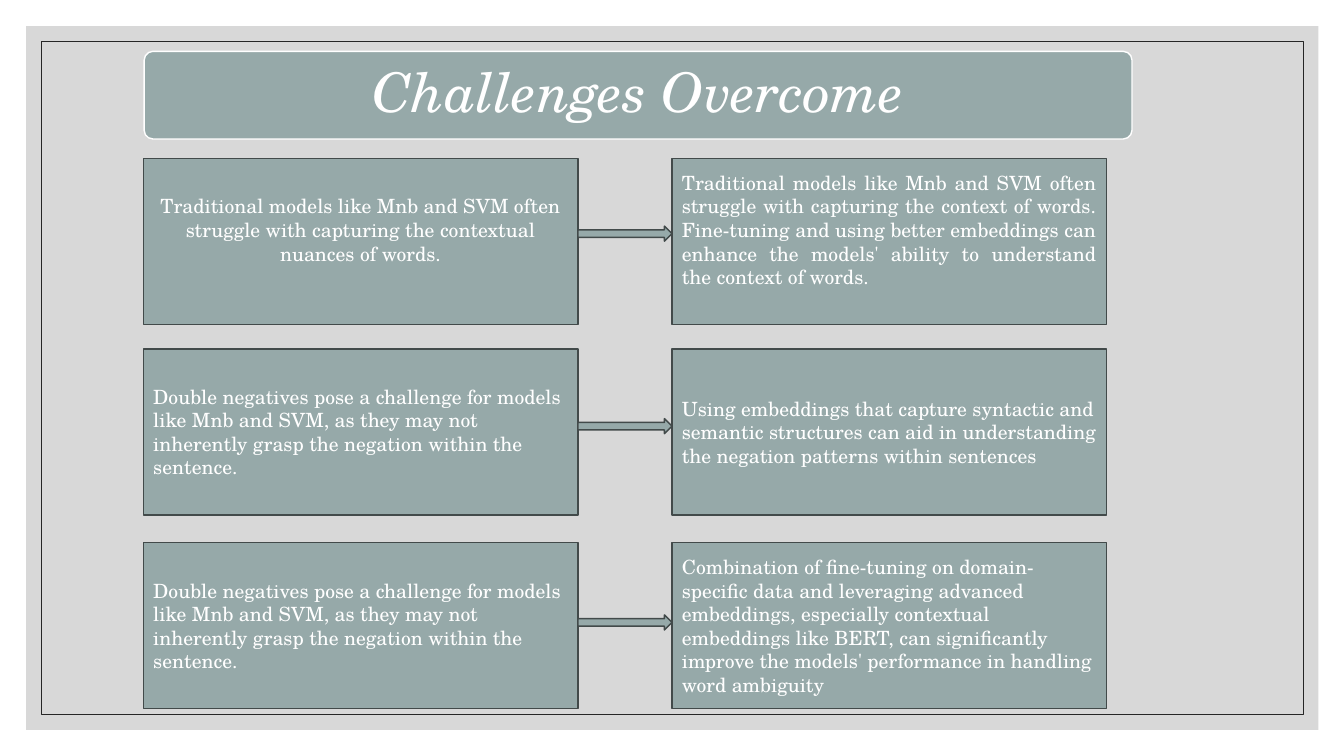
"""Build the "Challenges Overcome" slide: three challenges, each with its remedy."""
from lxml import etree
from pptx import Presentation
from pptx.dml.color import RGBColor
from pptx.enum.shapes import MSO_SHAPE as Shape
from pptx.enum.text import MSO_ANCHOR as Anchor, PP_ALIGN as Align
from pptx.oxml.ns import qn
from pptx.util import Pt

SAGE, SLATE, WHITE = "96A9A9", "424A4A", "FFFFFF"


def add_box(kind, left, top, width, height, fill=None, line=None, line_width=1):
    shape = slide.shapes.add_shape(kind, Pt(left), Pt(top), Pt(width), Pt(height))
    shape.shadow.inherit = False
    if fill:
        shape.fill.solid()
        shape.fill.fore_color.rgb = RGBColor.from_string(fill)
    else:
        shape.fill.background()
    if line:
        shape.line.color.rgb = RGBColor.from_string(line)
        shape.line.width = Pt(line_width)
    else:
        shape.line.fill.background()
    return shape


def write(shape, text, size, align):
    frame = shape.text_frame
    frame.word_wrap = True
    frame.vertical_anchor = Anchor.MIDDLE
    paragraph = frame.paragraphs[0]
    paragraph.text = text
    paragraph.alignment = align
    paragraph.font.name = "TeX Gyre Schola"
    paragraph.font.size = Pt(size)
    paragraph.font.color.rgb = RGBColor.from_string(WHITE)
    return paragraph


presentation = Presentation()
presentation.slide_width, presentation.slide_height = Pt(960), Pt(540)
slide = presentation.slides.add_slide(presentation.slide_layouts[6])

panel = add_box(Shape.RECTANGLE, 18.7, 18.7, 923, 502.6, "BFBFBF")
panel_color = panel.fill._xPr.find(qn("a:solidFill"))[0]
etree.SubElement(panel_color, qn("a:alpha"), val="60000")
add_box(Shape.RECTANGLE, 29.5, 29.5, 901.4, 481, line="262626", line_width=0.5)

banner = add_box(Shape.ROUNDED_RECTANGLE, 103, 36.7, 705.6, 62.6, SAGE, WHITE)
banner.adjustments[0] = 0.1
title = write(banner, "Challenges Overcome", 39, Align.CENTER)
title.line_spacing = 0.9
title.font.italic = True

NEGATIVES = ("Double negatives pose a challenge for models like Mnb and SVM, as they "
             "may not inherently grasp the negation within the sentence.")
rows = [
    (113.2, 161.5, Align.CENTER, Align.JUSTIFY, 20.4,
     "Traditional models like Mnb and SVM often struggle with capturing the "
     "contextual nuances of words.",
     "Traditional models like Mnb and SVM often struggle with capturing the context "
     "of words. Fine-tuning and using better embeddings can enhance the models' "
     "ability to understand the context of words."),
    (249.2, 299, Align.LEFT, Align.LEFT, 3.6, NEGATIVES,
     "Using embeddings that capture syntactic and semantic structures can aid in "
     "understanding the negation patterns within sentences"),
    (387.6, 439.2, Align.LEFT, Align.LEFT, 3.6, NEGATIVES,
     "Combination of fine-tuning on domain-specific data and leveraging advanced "
     "embeddings, especially contextual embeddings like BERT, can significantly "
     "improve the models' performance in handling word ambiguity"),
]
for top, arrow_top, challenge_align, remedy_align, bottom, challenge, remedy in rows:
    for left, text, align in ((102.4, challenge, challenge_align),
                              (480, remedy, remedy_align)):
        card = add_box(Shape.RECTANGLE, left, top, 310.4, 118.6, SAGE, SLATE)
        write(card, text, 14, align)
        card.text_frame.margin_bottom = Pt(bottom)
    add_box(Shape.RIGHT_ARROW, 412.8, arrow_top, 67.2, 10.8, SAGE, SLATE)

presentation.save("out.pptx")
